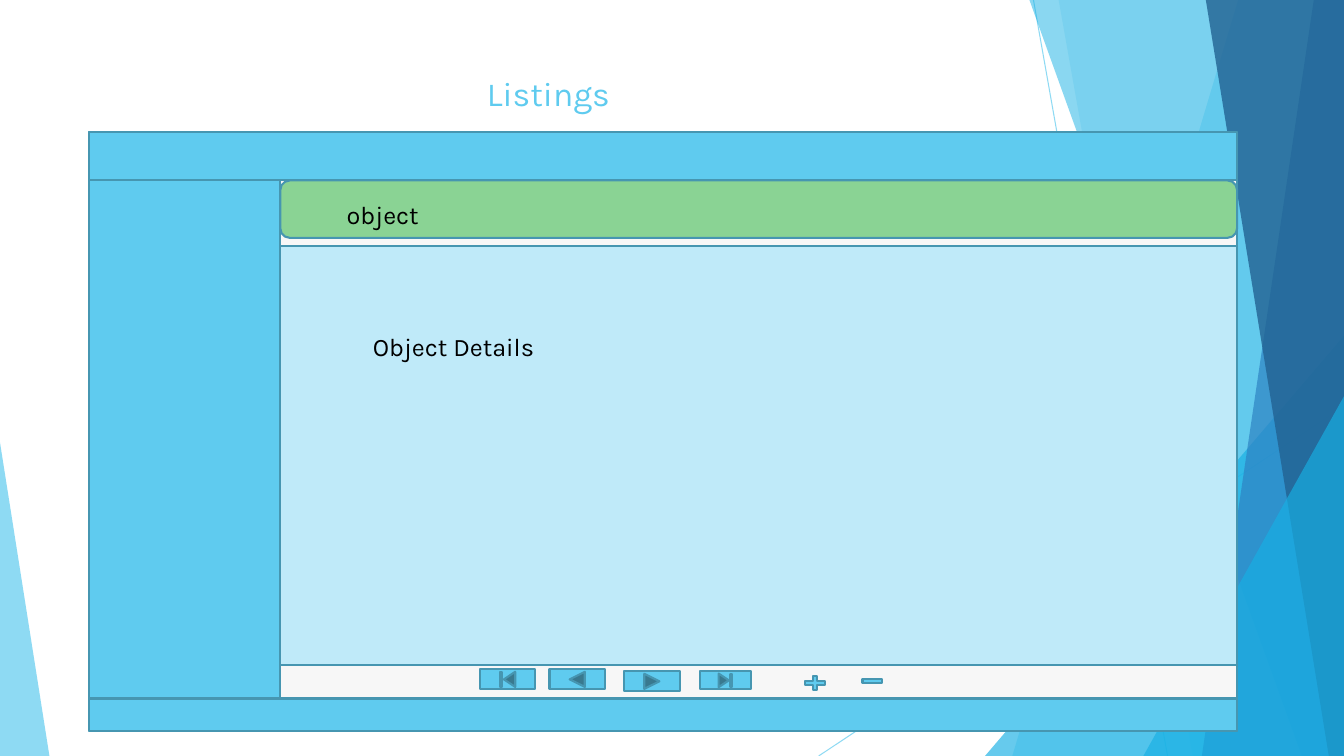
from pptx import Presentation
from pptx.dml.color import RGBColor
from pptx.enum.shapes import MSO_CONNECTOR, MSO_SHAPE
from pptx.enum.text import PP_ALIGN
from pptx.oxml.ns import qn
from pptx.util import Inches, Pt
from lxml import etree

RECT = MSO_SHAPE.RECTANGLE
ROUNDED = MSO_SHAPE.ROUNDED_RECTANGLE
TRIANGLE = MSO_SHAPE.ISOSCELES_TRIANGLE
FIRST = MSO_SHAPE.ACTION_BUTTON_BEGINNING
PREVIOUS = MSO_SHAPE.ACTION_BUTTON_BACK_OR_PREVIOUS
NEXT = MSO_SHAPE.ACTION_BUTTON_FORWARD_OR_NEXT
LAST = MSO_SHAPE.ACTION_BUTTON_END
PLUS = MSO_SHAPE.MATH_PLUS
MINUS = MSO_SHAPE.MATH_MINUS
STRAIGHT = MSO_CONNECTOR.STRAIGHT
LEFT, CENTER = PP_ALIGN.LEFT, PP_ALIGN.CENTER

FONT = "Karla"
SLIDE_W, SLIDE_H = 13.33, 7.5
COLORS = {
    "sky": "5FCBEF", "cyan": "17B0E4", "blue": "2E83C3", "navy": "226292",
    "outline": "4696B1", "window": "F7F7F7", "object": "8AD394",
    "details": "BFEAF9", "text": "000000",
}


def rgb(name):
    return RGBColor.from_string(COLORS[name])


def set_alpha(shape, percent):
    for color in shape._element.spPr.iter(qn("a:srgbClr")):
        etree.SubElement(color, qn("a:alpha"), val=str(percent * 1000))


def add_part(slide, kind, left, top, width, height, fill):
    part = slide.shapes.add_shape(
        kind, Inches(left), Inches(top), Inches(width), Inches(height))
    part.shadow.inherit = False
    part.fill.solid()
    part.fill.fore_color.rgb = rgb(fill)
    part.line.color.rgb = rgb("outline")
    part.line.width = Pt(1.5)
    return part


def add_label(slide, text, left, top, width, height, size, color, align=LEFT):
    label = slide.shapes.add_textbox(
        Inches(left), Inches(top), Inches(width), Inches(height))
    label.text_frame.word_wrap = True
    paragraph = label.text_frame.paragraphs[0]
    paragraph.text = text
    paragraph.alignment = align
    paragraph.font.name = FONT
    paragraph.font.size = Pt(size)
    paragraph.font.color.rgb = rgb(color)


def add_ray(slide, start, end):
    ray = slide.shapes.add_connector(STRAIGHT, *map(Inches, start + end))
    ray.line.color.rgb = rgb("sky")
    ray.line.width = Pt(0.75)
    set_alpha(ray, 70)
    etree.SubElement(ray._element.spPr, qn("a:effectLst"))


def add_band(slide, right, top, height, top_inset, bottom_inset, fill, alpha):
    """A facet flush with the right edge, given its insets at top and bottom."""
    bottom = top + height
    points = [(right, top), (right, bottom), (right - bottom_inset, bottom)]
    builder = slide.shapes.build_freeform(
        Inches(right - top_inset), Inches(top))
    builder.add_line_segments([(Inches(x), Inches(y)) for x, y in points])
    band = builder.convert_to_shape()
    band.shadow.inherit = False
    band.fill.solid()
    band.fill.fore_color.rgb = rgb(fill)
    band.line.fill.background()
    set_alpha(band, alpha)


def add_corner(slide, left, bottom, width, height, apex, fill, alpha):
    corner = add_part(slide, TRIANGLE, left, bottom - height, width, height, fill)
    corner.adjustments[0] = apex
    corner.line.fill.background()
    set_alpha(corner, alpha)


def draw_backdrop(slide, left, top, width, height):
    right, bottom = left + width, top + height
    # Thin rays
    add_ray(slide, (right - 3.08, top), (right - 1.75, bottom))
    add_ray(slide, (right, top + 4.03), (right - 5.21, bottom))

    # Right-hand facets, back to front
    def band(*style):
        add_band(slide, right, top, height, *style)

    def right_corner(corner_width, corner_height):
        add_corner(slide, right - corner_width, bottom, corner_width,
                   corner_height, 1, "cyan", 66)

    band(1.05, 3.29, "sky", 36)
    band(2.83, 1.5, "sky", 20)
    right_corner(3.56, 4.17)
    band(3.12, 0.42, "cyan", 50)
    band(0.3, 1.41, "blue", 70)
    band(1.37, 0.15, "navy", 80)
    right_corner(1.99, 3.57)
    # Left-hand corner
    add_corner(slide, left, bottom, 0.49, 3.11, 0, "sky", 70)


def draw_window(slide, left, top, width, height):
    sidebar_w, header_h, footer_h = 1.9, 0.48, 0.32
    content_left, content_top = left + sidebar_w, top + header_h
    content_w = width - sidebar_w
    footer_top = top + height - footer_h
    # Frame, header, footer and sidebar
    add_part(slide, RECT, left, top, width, height, "window")
    add_part(slide, RECT, left, top, width, header_h, "sky")
    add_part(slide, RECT, left, footer_top, width, footer_h, "sky")
    add_part(slide, RECT, left, content_top, sidebar_w,
             footer_top - content_top, "sky")
    # Object bar and details pane
    add_part(slide, ROUNDED, content_left, content_top, content_w, 0.57, "object")
    add_part(slide, RECT, content_left, content_top + 0.65, content_w, 4.16,
             "details")
    add_label(slide, "Object Details", content_left + 0.82, content_top + 1.45,
              6.93, 0.4, 18, "text")
    add_label(slide, "object", content_left + 0.56, content_top + 0.14,
              3.32, 0.4, 18, "text")
    draw_record_buttons(slide, content_left + 1.98, footer_top - 0.29)


def draw_record_buttons(slide, left, top):
    buttons = [  # kind, x offset, y offset, width, height
        (FIRST, 0, 0, 0.55, 0.2),
        (PREVIOUS, 0.69, 0, 0.55, 0.2),
        (NEXT, 1.43, 0.02, 0.55, 0.2),
        (LAST, 2.18, 0.02, 0.51, 0.18),
        (PLUS, 3.19, 0.04, 0.27, 0.19),
        (MINUS, 3.76, 0.03, 0.26, 0.17),
    ]
    for kind, dx, dy, width, height in buttons:
        add_part(slide, kind, left + dx, top + dy, width, height, "sky")


presentation = Presentation()
presentation.slide_width = Inches(SLIDE_W)
presentation.slide_height = Inches(SLIDE_H)
listings = presentation.slides.add_slide(presentation.slide_layouts[6])

draw_backdrop(listings, 0, 0, SLIDE_W, SLIDE_H)
add_label(listings, "Listings", 0.74, 0.67, 9.4, 1.44, 24, "sky", CENTER)
draw_window(listings, 0.88, 1.31, 11.39, 5.94)

presentation.save("out.pptx")
